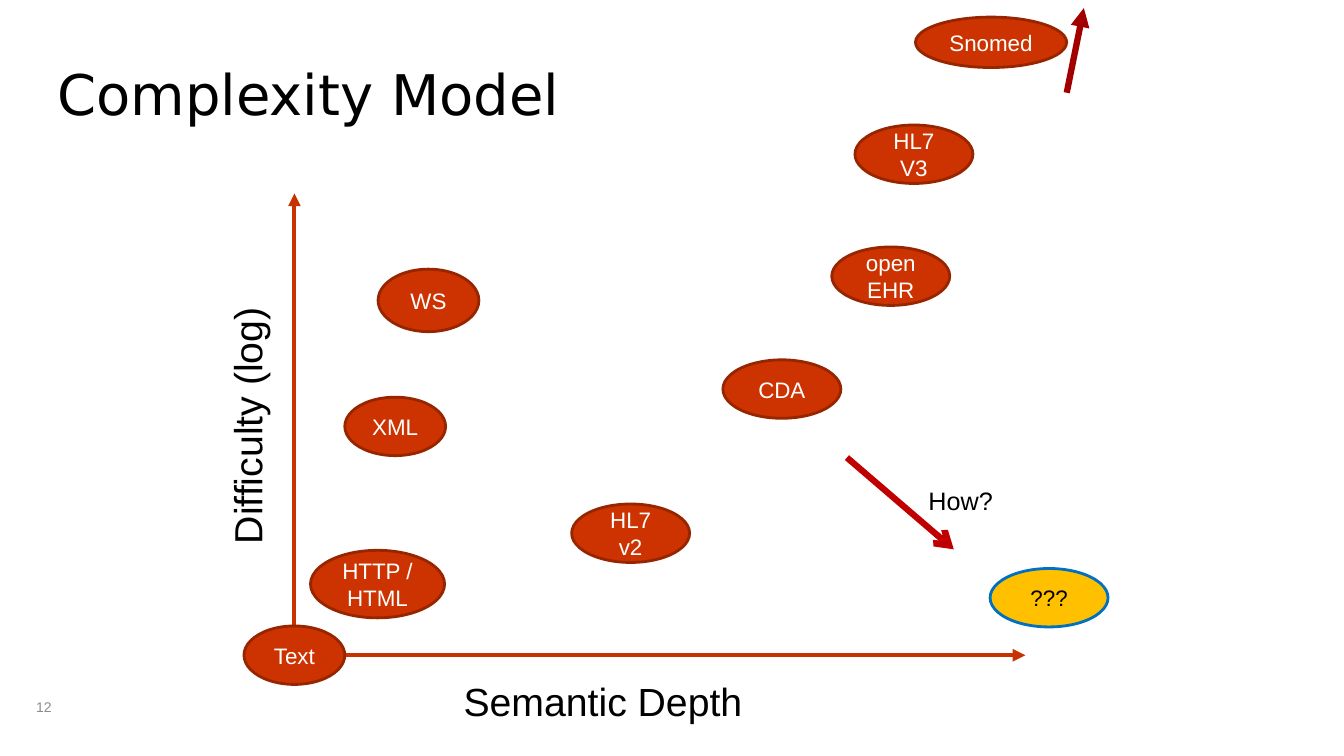
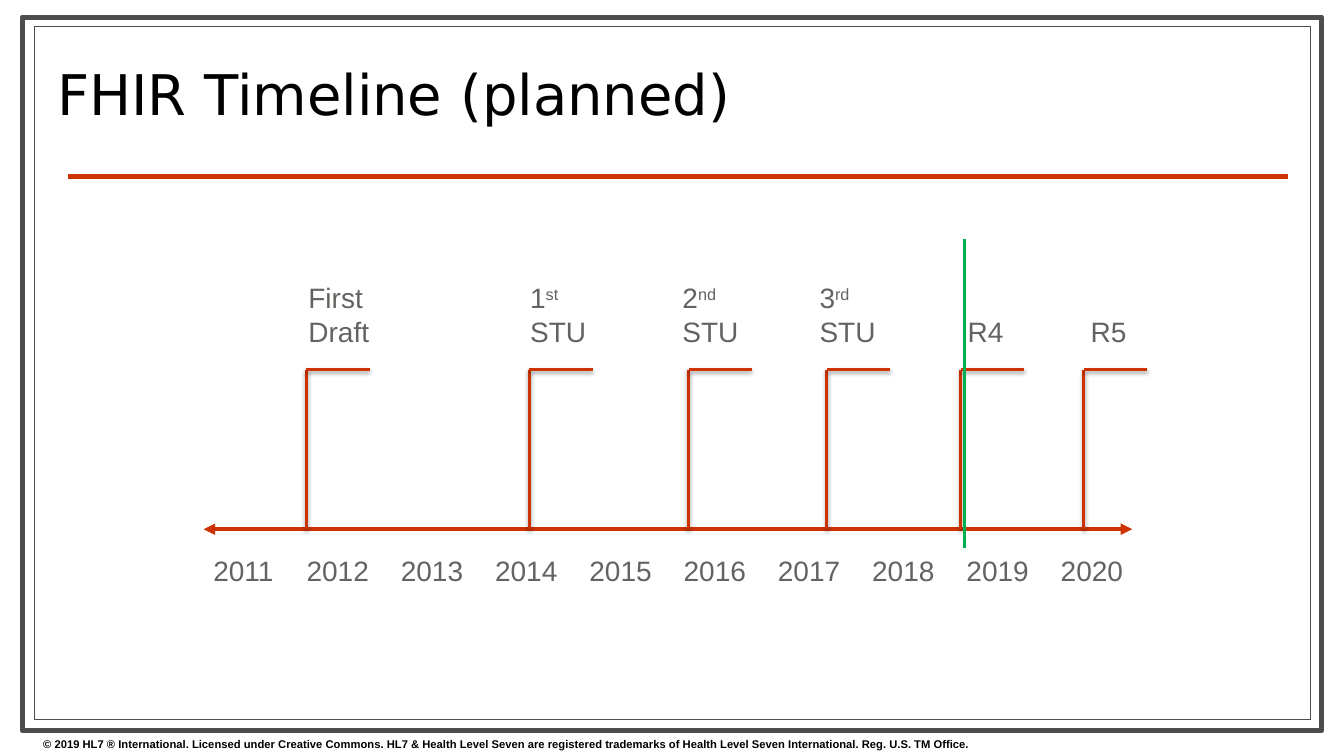
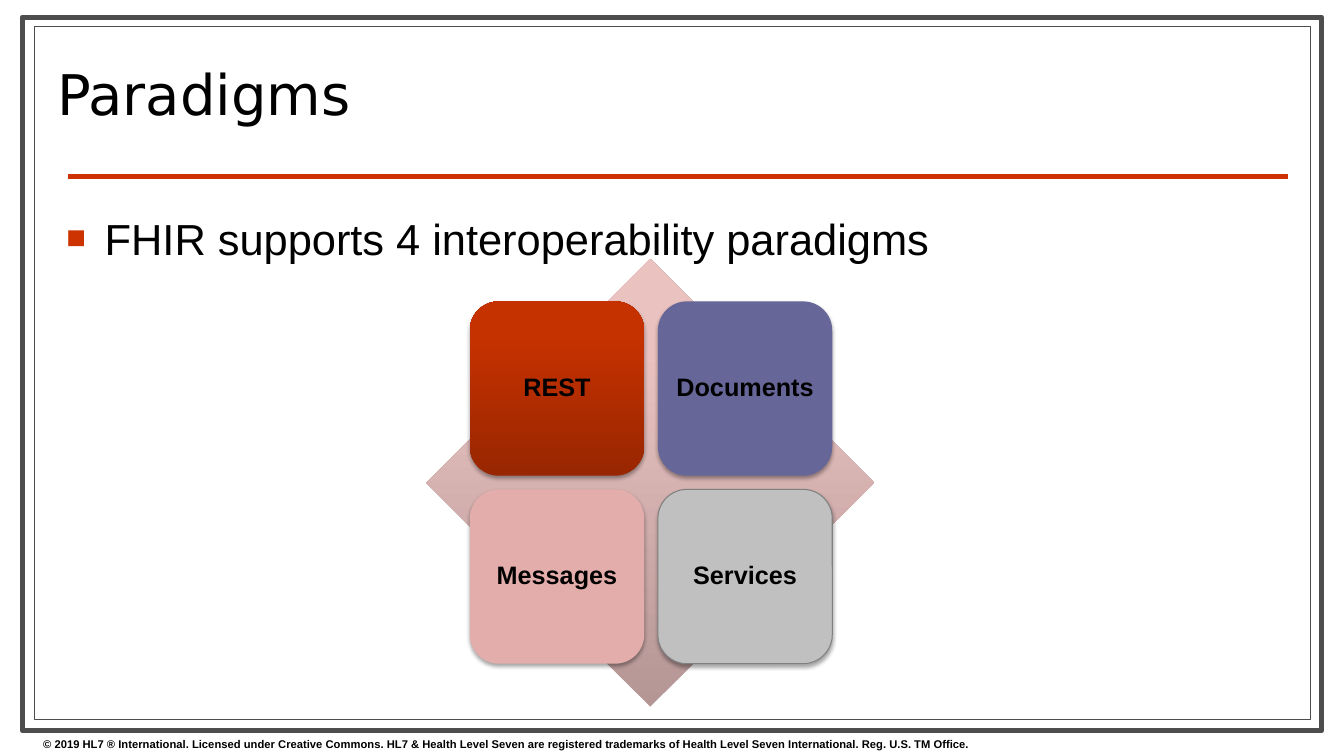
"""Build three slides on health data standards: complexity, timeline and paradigms."""
from pptx import Presentation
from pptx import util as u
from pptx.dml.color import RGBColor
from pptx.enum import shapes, text
from pptx.oxml import parse_xml
from pptx.oxml.ns import nsdecls, qn

rgb = RGBColor.from_string
RED, DARK_RED, GREY, BLACK, WHITE = "CC3300", "972600", "636360", "000000", "FFFFFF"
MIDDLE = {"vertical_anchor": text.MSO_ANCHOR.MIDDLE}
UNWRAPPED = {"word_wrap": False}
CENTRED = {"alignment": text.PP_ALIGN.CENTER}
SHADOW = (
    f'<a:outerShdw {nsdecls("a")} blurRad="39400" dist="%d" dir="5400000" rotWithShape="0">'
    '<a:srgbClr val="000000"><a:alpha val="%d"/></a:srgbClr></a:outerShdw>'
)


def write(shape, lines, size, colour=BLACK, frame={}, paragraph={}, font={}):
    """Fill a shape with lines of text; a caret starts a superscript."""
    body = shape.text_frame
    for name, value in ({"word_wrap": True} | frame).items():
        setattr(body, name, value)
    for index, line in enumerate(lines.split("\n")):
        para = body.add_paragraph() if index else body.paragraphs[0]
        for name, value in paragraph.items():
            setattr(para, name, value)
        for part, baseline in zip(line.split("^"), ("0", "30000")):
            run = para.add_run()
            run.text = part
            for name, value in ({"name": "Arial", "size": u.Pt(size)} | font).items():
                setattr(run.font, name, value)
            run.font.color.rgb = rgb(colour)
            if baseline != "0":
                run.font._element.set("baseline", baseline)


def draw_line(slide, start, end, colour, width, head=None, tail=None, shadow=False):
    """Draw a straight line with optional arrowheads and shadow."""
    line = slide.shapes.add_connector(
        shapes.MSO_CONNECTOR.STRAIGHT, *map(u.Inches, start + end))
    line.line.color.rgb = rgb(colour)
    line.line.width = u.Pt(width)
    for tag, kind in (("headEnd", head), ("tailEnd", tail)):
        if kind:
            line.line._ln.append(parse_xml(f'<a:{tag} {nsdecls("a")} type="{kind}"/>'))
    effects = parse_xml(f'<a:effectLst {nsdecls("a")}/>')
    if shadow:
        effects.append(parse_xml(SHADOW % (20000, 38000)))
    line._element.spPr.append(effects)


deck = Presentation()
deck.slide_width, deck.slide_height = u.Inches(13.33), u.Inches(7.5)
complexity, timeline, paradigms = [
    deck.slides.add_slide(deck.slide_layouts[6]) for _ in range(3)]

for slide in (timeline, paradigms):
    for area, width in (((0.22, 0.17, 12.89, 7.08), 3.5), ((0.34, 0.26, 12.66, 6.88), 0.75)):
        border = slide.shapes.add_shape(shapes.MSO_SHAPE.RECTANGLE, *map(u.Inches, area))
        border.shadow.inherit = False
        border.fill.solid()
        border.fill.fore_color.rgb = rgb(WHITE)
        border.line.color.rgb = rgb("4D4D4D")
        border.line.width = u.Pt(width)
    draw_line(slide, (0.67, 1.75), (12.77, 1.75), RED, 3)
    copyright_line = slide.shapes.add_textbox(*map(u.Inches, (0.33, 7.27, 12.7, 0.23)))
    write(copyright_line,
          "© 2019 HL7 ® International. Licensed under Creative Commons. "
          "HL7 & Health Level Seven are registered trademarks of "
          "Health Level Seven International. Reg. U.S. TM Office.",
          8, font={"bold": True})

for slide, heading in ((complexity, "Complexity Model"),
                       (timeline, "FHIR Timeline (planned)"),
                       (paradigms, "Paradigms")):
    title = slide.shapes.add_textbox(*map(u.Inches, (0.47, 0.36, 9.55, 1.26)))
    write(title, heading, 40, frame=MIDDLE, paragraph={"line_spacing": 0.8},
          font={"name": "DejaVu Sans"})

origin = (2.92, 6.5)
for tip in ((2.92, 1.92), (10.17, 6.5)):
    draw_line(complexity, origin, tip, "C83200", 3, tail="triangle")
draw_line(complexity, (10.58, 0.92), (10.75, 0.08), "A20000", 4.5, tail="triangle")
draw_line(complexity, (8.4, 4.54), (9.46, 5.45), "C00000", 4.5, tail="arrow")

for label, area, size, turn in (("Difficulty (log)", (1.16, 3.92, 2.58, 0.57), 28, 270),
                                ("Semantic Depth", (4.5, 6.67, 3, 0.57), 28, 0),
                                ("How?", (9.11, 4.77, 0.85, 0.4), 18, 0)):
    caption = complexity.shapes.add_textbox(*map(u.Inches, area))
    caption.rotation = turn
    write(caption, label, size, frame=UNWRAPPED)

KNOWN = (RED, DARK_RED, WHITE)
UNKNOWN = ("FFC000", "0070C0", BLACK)
for label, area, (fill, outline, ink) in (
        ("HTTP / HTML", (3.08, 5.46, 1.33, 0.67), KNOWN),
        ("XML", (3.42, 3.94, 1, 0.58), KNOWN),
        ("WS", (3.75, 2.67, 1, 0.62), KNOWN),
        ("HL7 v2", (5.67, 5, 1.17, 0.58), KNOWN),
        ("Snomed", (9.08, 0.17, 1.5, 0.5), KNOWN),
        ("CDA", (7.17, 3.57, 1.17, 0.58), KNOWN),
        ("HL7 V3", (8.48, 1.24, 1.17, 0.58), KNOWN),
        ("openEHR", (8.25, 2.45, 1.17, 0.58), KNOWN),
        ("Text", (2.42, 6.21, 1, 0.58), KNOWN),
        ("???", (9.82, 5.64, 1.17, 0.58), UNKNOWN)):
    standard = complexity.shapes.add_shape(shapes.MSO_SHAPE.OVAL, *map(u.Inches, area))
    standard.shadow.inherit = False
    standard.fill.solid()
    standard.fill.fore_color.rgb = rgb(fill)
    standard.line.color.rgb = rgb(outline)
    standard.line.width = u.Pt(2)
    write(standard, label, 16, ink, MIDDLE, CENTRED)

page_number = complexity.shapes.add_textbox(*map(u.Inches, (0.26, 6.89, 1.05, 0.24)))
write(page_number, "12", 10, "8C8C8C", MIDDLE)

draw_line(timeline, (2.02, 5.25), (11.23, 5.25), RED, 2.75, "triangle", "triangle")
for index in range(10):
    year = timeline.shapes.add_textbox(
        *map(u.Inches, (2 + index * 0.935, 5.44, 0.83, 0.44)))
    write(year, str(2011 + index), 20, GREY, UNWRAPPED, CENTRED)

for release, pole, left, width in (("First\nDraft", 3.04, 2.96, 0.81),
                                   ("1^st\nSTU", 5.25, 5.16, 0.76),
                                   ("2^nd\nSTU", 6.83, 6.67, 0.76),
                                   ("3^rd\nSTU", 8.2, 8.03, 0.76),
                                   ("R4", 9.53, 9.5, 0.56),
                                   ("R5", 10.75, 10.72, 0.56)):
    flag_top = (pole, 3.67)
    for end in ((pole, 5.25), (pole + 0.63, 3.67)):
        draw_line(timeline, flag_top, end, RED, 2, shadow=True)
    milestone = timeline.shapes.add_textbox(*map(u.Inches, (left, 2.73, width, 0.77)))
    write(milestone, release, 20, GREY,
          UNWRAPPED | {"vertical_anchor": text.MSO_ANCHOR.BOTTOM})
draw_line(timeline, (9.57, 2.37), (9.57, 5.44), "00B050", 2)

statement = paradigms.shapes.add_textbox(*map(u.Inches, (0.56, 2.05, 12.22, 4.85)))
write(statement, "FHIR supports 4 interoperability paradigms", 31)
bullet = statement.text_frame.paragraphs[0]._p.get_or_add_pPr()
bullet.set("marL", str(u.Inches(0.38)))
bullet.set("indent", str(u.Inches(-0.38)))
for tag in (f'<a:buClr {nsdecls("a")}><a:srgbClr val="{RED}"/></a:buClr>',
            f'<a:buSzPct {nsdecls("a")} val="75000"/>',
            f'<a:buFont {nsdecls("a")} typeface="Arial"/>',
            f'<a:buChar {nsdecls("a")} char="■"/>'):
    bullet.append(parse_xml(tag))

SIDE, PITCH = 1.73, 1.865
tiles = [("", shapes.MSO_SHAPE.DIAMOND, (4.23, 2.57, 4.44, 4.44), ("B49695", "EAC3C1"), None)]
for index, (name, fills, outline) in enumerate((("REST", ("982600", "C63100"), None),
                                                ("Documents", ("666699",), None),
                                                ("Messages", ("E2ADAA",), None),
                                                ("Services", ("C0C0C0",), "808080"))):
    row, column = divmod(index, 2)
    tiles.append((name, shapes.MSO_SHAPE.ROUNDED_RECTANGLE,
                  (4.66 + column * PITCH, 2.99 + row * PITCH, SIDE, SIDE), fills, outline))

INSETS = {f"margin_{side}": u.Inches(0.07) for side in ("left", "top", "right", "bottom")}
for name, outline_shape, area, fills, outline in tiles:
    tile = paradigms.shapes.add_shape(outline_shape, *map(u.Inches, area))
    if len(fills) == 2:
        tile.fill.gradient()
        tile.fill.gradient_angle = 90
        for stop, colour, position in zip(tile.fill.gradient_stops, fills, (0, 0.8)):
            stop.color.rgb = rgb(colour)
            stop.position = position
    else:
        tile.fill.solid()
        tile.fill.fore_color.rgb = rgb(fills[0])
    if outline:
        tile.line.color.rgb = rgb(outline)
        tile.line.width = u.Pt(0.75)
    else:
        tile.line.fill.background()
    tile.shadow.inherit = False
    if name:
        tile._element.spPr.find(qn("a:effectLst")).append(parse_xml(SHADOW % (23000, 35000)))
        write(tile, name, 18, frame=MIDDLE | INSETS,
              paragraph=CENTRED | {"line_spacing": 0.9}, font={"bold": True})

deck.save("out.pptx")
